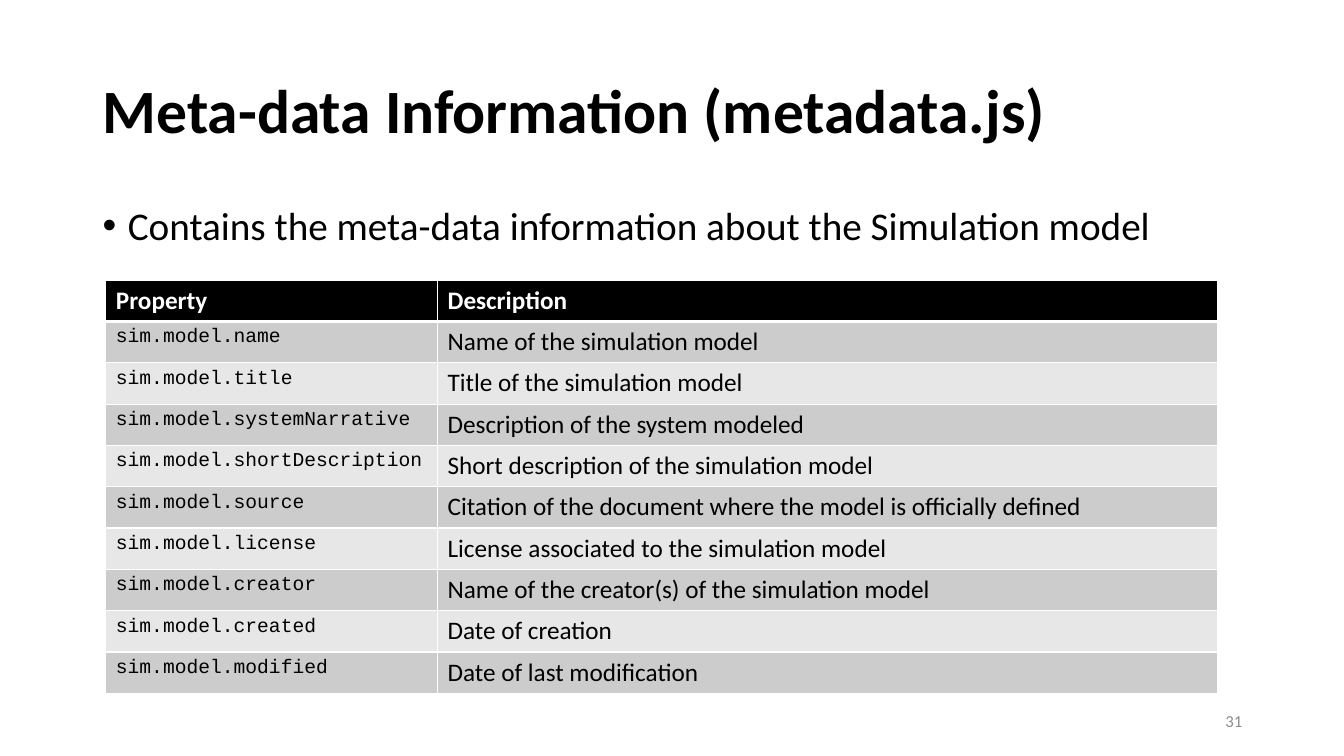
"""Builds the slide that documents the properties in metadata.js."""
from lxml import etree
from pptx import Presentation
from pptx import util as u
from pptx.dml.color import RGBColor
from pptx.enum import text
from pptx.oxml import ns

TITLE = "Meta-data Information (metadata.js)"
SUMMARY = "Contains the meta-data information about the Simulation model"
PAGE_NUMBER = "31"
HEADER = ("Property", "Description")
PROPERTIES = [
    ("sim.model.name", "Name of the simulation model"),
    ("sim.model.title", "Title of the simulation model"),
    ("sim.model.systemNarrative", "Description of the system modeled"),
    ("sim.model.shortDescription", "Short description of the simulation model"),
    ("sim.model.source", "Citation of the document where the model is officially defined"),
    ("sim.model.license", "License associated to the simulation model"),
    ("sim.model.creator", "Name of the creator(s) of the simulation model"),
    ("sim.model.created", "Date of creation"),
    ("sim.model.modified", "Date of last modification"),
]

BLACK = RGBColor(0x00, 0x00, 0x00)
WHITE = RGBColor(0xFF, 0xFF, 0xFF)
PAGE_GRAY = RGBColor(0x8C, 0x8C, 0x8C)
BANDS = (RGBColor(0xE7, 0xE7, 0xE7), RGBColor(0xCC, 0xCC, 0xCC))

TITLE_FONT = {"name": "Calibri", "size": u.Pt(44), "bold": True}
SUMMARY_FONT = {"name": "Calibri", "size": u.Pt(28), "bold": False}
PAGE_FONT = {"name": "Calibri", "size": u.Pt(12), "bold": False}
HEADER_FONT = {"name": "Calibri", "size": u.Pt(18), "bold": True}
PROPERTY_FONT = {"name": "Courier New", "size": u.Pt(14), "bold": False}
DESCRIPTION_FONT = {"name": "Calibri", "size": u.Pt(18), "bold": False}

COLUMN_WIDTHS = (3.29, 7.74)
ROW_HEIGHT = 0.41


def style(paragraph, font, color):
    for attribute, value in font.items():
        setattr(paragraph.font, attribute, value)
    paragraph.font.color.rgb = color


def add_text(slide, words, place, anchor):
    frame = slide.shapes.add_textbox(*map(u.Inches, place)).text_frame
    frame.word_wrap = True
    frame.vertical_anchor = anchor
    frame.text = words
    return frame.paragraphs[0]


def add_bullet(paragraph):
    properties = paragraph._p.get_or_add_pPr()
    properties.set("marL", str(u.Inches(0.25)))
    properties.set("indent", str(u.Inches(-0.25)))
    etree.SubElement(properties, ns.qn("a:buFont"), typeface="Arial")
    etree.SubElement(properties, ns.qn("a:buChar"), char="•")


def add_borders(cell, top, bottom):
    properties = cell._tc.get_or_add_tcPr()
    for side, points in {"L": 1, "R": 1, "T": top, "B": bottom}.items():
        border = etree.SubElement(properties, ns.qn(f"a:ln{side}"), w=str(u.Pt(points)))
        fill = etree.SubElement(border, ns.qn("a:solidFill"))
        etree.SubElement(fill, ns.qn("a:srgbClr"), val=str(WHITE))


def add_property_table(slide):
    rows = [HEADER, *PROPERTIES]
    place = (1.05, 2.78, sum(COLUMN_WIDTHS), ROW_HEIGHT * len(rows))
    table = slide.shapes.add_table(len(rows), len(HEADER), *map(u.Inches, place)).table
    for column, width in zip(table.columns, COLUMN_WIDTHS):
        column.width = u.Inches(width)
    for r, row in enumerate(rows):
        table.rows[r].height = u.Inches(ROW_HEIGHT)
        fonts = (PROPERTY_FONT, DESCRIPTION_FONT) if r else (HEADER_FONT, HEADER_FONT)
        for c, words in enumerate(row):
            cell = table.cell(r, c)
            add_borders(cell, 3 if r == 1 else 1, 1 if r else 3)
            cell.fill.solid()
            cell.fill.fore_color.rgb = BANDS[r % 2] if r else BLACK
            cell.text = words
            style(cell.text_frame.paragraphs[0], fonts[c], BLACK if r else WHITE)


def main():
    deck = Presentation()
    deck.slide_width, deck.slide_height = u.Inches(13.33), u.Inches(7.5)
    slide = deck.slides.add_slide(deck.slide_layouts[6])

    title = add_text(slide, TITLE, (0.92, 0.4, 11.5, 1.45), text.MSO_ANCHOR.MIDDLE)
    title.line_spacing = 0.9
    style(title, TITLE_FONT, BLACK)

    summary = add_text(slide, SUMMARY, (0.92, 2, 11.5, 4.76), text.MSO_ANCHOR.TOP)
    summary.line_spacing = 0.9
    add_bullet(summary)
    style(summary, SUMMARY_FONT, BLACK)

    add_property_table(slide)

    page = add_text(slide, PAGE_NUMBER, (9.42, 6.95, 3, 0.4), text.MSO_ANCHOR.MIDDLE)
    page.alignment = text.PP_ALIGN.RIGHT
    style(page, PAGE_FONT, PAGE_GRAY)

    deck.save("out.pptx")


if __name__ == "__main__":
    main()
